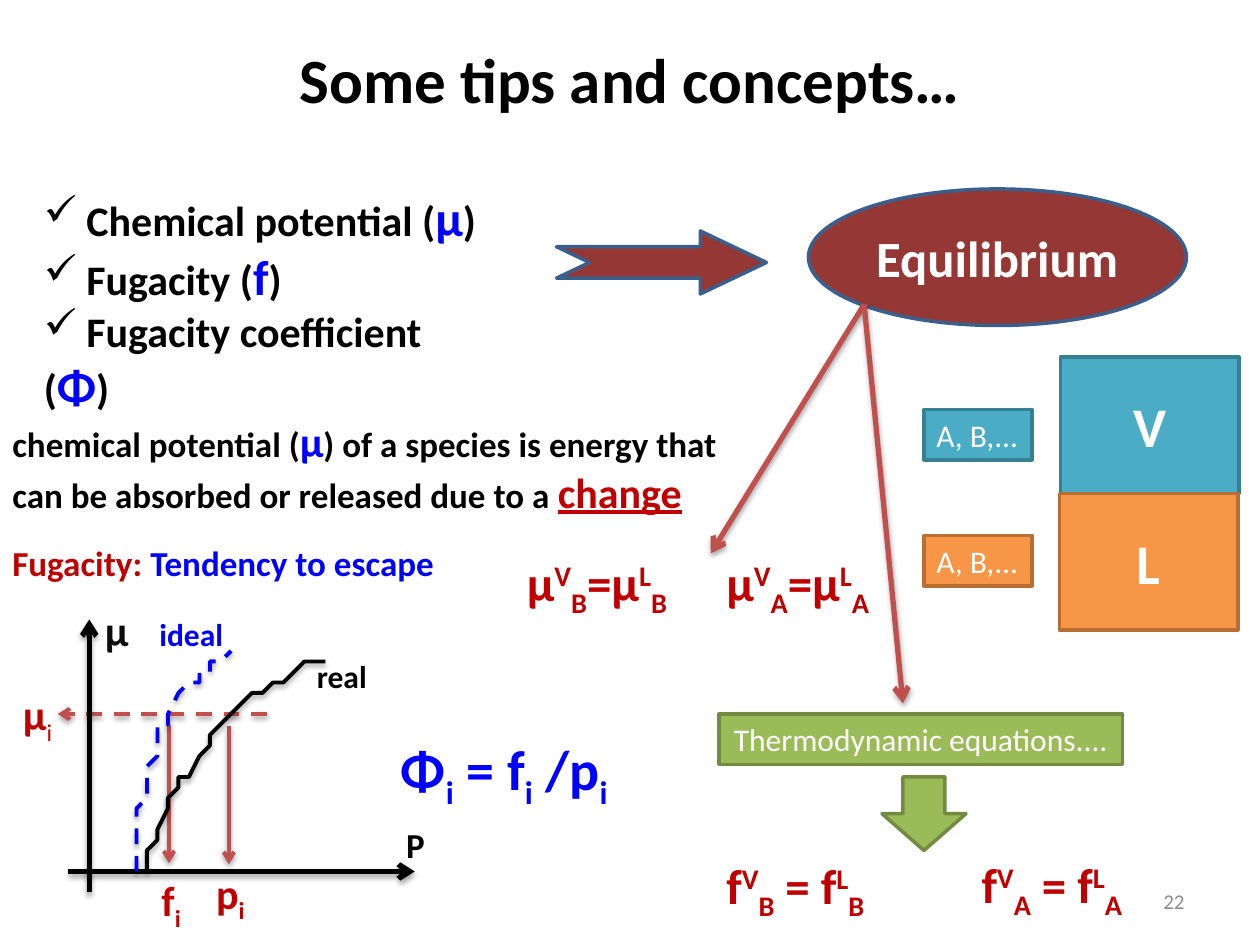
from lxml import etree
from pptx import Presentation
from pptx.dml.color import RGBColor
from pptx.enum.dml import MSO_LINE
from pptx.enum.shapes import MSO_CONNECTOR, MSO_SHAPE as SHAPE
from pptx.enum.text import MSO_ANCHOR as ANCHOR, PP_ALIGN as ALIGN
from pptx.oxml import parse_xml
from pptx.oxml.ns import nsdecls, qn
from pptx.util import Inches, Pt

COLORS = {
    "black": "000000", "ink": "0D0D0D", "white": "FFFFFF", "gray": "8C8C8C",
    "blue": "0000FF", "red": "C00000", "arrow": "C0504D",
    "maroon": "953735", "navy": "3A5F8C", "teal": "4BACC6", "teal edge": "377F92",
    "orange": "F79646", "orange edge": "B76F34", "green": "9BBB59", "green edge": "738A42",
}
RGB = {name: RGBColor.from_string(value) for name, value in COLORS.items()}
SUP, SUB = 30, -25

deck = Presentation()
deck.slide_width, deck.slide_height = Inches(10), Inches(7.5)
page = deck.slides.add_slide(deck.slide_layouts[6])
CELL = deck.slide_width // 120  # grid of 120 columns by 90 rows


def write(box, lines, align=ALIGN.LEFT, anchor=ANCHOR.TOP, wrap=True, bold=True, bullet=None):
    """Each line is a list of spans: text, size, color and optional baseline shift."""
    frame = box.text_frame
    frame.word_wrap, frame.vertical_anchor = wrap, anchor
    for number, spans in enumerate(lines):
        para = frame.add_paragraph() if number else frame.paragraphs[0]
        para.alignment = align
        if bullet:
            mark = etree.SubElement(para._p.get_or_add_pPr(), qn("a:buChar"))
            mark.set("char", bullet)
        for text, size, color, *shift in spans:
            span = para.add_run()
            span.text = text
            span.font.name, span.font.size, span.font.bold = "Calibri", Pt(size), bold
            span.font.color.rgb = RGB[color]
            if shift:
                span.font._element.set("baseline", str(shift[0] * 1000))


def draw_line(shape, color, width, dashed=False, arrow=True):
    shape.line.color.rgb, shape.line.width = RGB[color], Pt(width)
    if dashed:
        shape.line.dash_style = MSO_LINE.DASH
    if arrow:
        etree.SubElement(shape.line._get_or_add_ln(), qn("a:tailEnd")).set("type", "arrow")
    shape._element.spPr.append(parse_xml(
        f'<a:effectLst {nsdecls("a")}><a:outerShdw blurRad="{Pt(3.1)}" dist="{Pt(1.8)}" '
        'dir="5400000" rotWithShape="0"><a:srgbClr val="000000"><a:alpha val="35000"/>'
        '</a:srgbClr></a:outerShdw></a:effectLst>'))


# Filled shapes: kind, cells, color, edge, label, size, bold, align
blocks = [
    (SHAPE.OVAL, (77, 18, 36, 13), "maroon", "navy", "Equilibrium", 29, True, ALIGN.CENTER),
    (SHAPE.NOTCHED_RIGHT_ARROW, (53, 22, 20, 6), "maroon", "navy", "", 0, False, ALIGN.CENTER),
    (SHAPE.RECTANGLE, (101, 34, 17, 13), "teal", "teal edge", "V", 32, True, ALIGN.CENTER),
    (SHAPE.RECTANGLE, (100.9, 47, 17, 13), "orange", "orange edge", "L", 32, True, ALIGN.CENTER),
    (SHAPE.RECTANGLE, (88, 39, 10.3, 4.8), "teal", "teal edge", "A, B,...", 18, False, ALIGN.LEFT),
    (SHAPE.RECTANGLE, (88, 51, 10.3, 4.8), "orange", "orange edge", "A, B,...", 18, False, ALIGN.LEFT),
    (SHAPE.RECTANGLE, (68.5, 68, 38.4, 4.8), "green", "green edge",
     "Thermodynamic equations....", 18, False, ALIGN.CENTER),
    (SHAPE.DOWN_ARROW, (84, 74, 8, 7), "green", "green edge", "", 0, False, ALIGN.CENTER),
]
for kind, cells, color, edge, label, size, bold, align in blocks:
    block = page.shapes.add_shape(kind, *[int(n * CELL) for n in cells])
    block.shadow.inherit = False
    block.fill.solid()
    block.fill.fore_color.rgb = RGB[color]
    block.line.color.rgb, block.line.width = RGB[edge], Pt(2)
    if kind == SHAPE.NOTCHED_RIGHT_ARROW:
        block.adjustments[1] = 1.05
    if label:
        write(block, [[(label, size, "white")]], align, ANCHOR.MIDDLE, bold, bold)

# Arrows: start, end, color, width, dashed
arrows = [
    ((82.3, 29), (67.7, 52.7), "arrow", 3, False),
    ((82.3, 29), (86, 67), "arrow", 3, False),
    ((25.4, 68), (5.5, 68), "arrow", 2.25, True),
    ((21.8, 69.1), (21.8, 82.3), "arrow", 2.25, False),
    ((16.1, 69), (16.1, 82.2), "arrow", 2.25, False),
    ((8.5, 85), (8.5, 59), "black", 3, False),
    ((6.5, 83), (39.5, 83), "black", 3, False),
]
for start, end, color, width, dashed in arrows:
    ends = [int(n * CELL) for n in start + end]
    draw_line(page.shapes.add_connector(MSO_CONNECTOR.STRAIGHT, *ends), color, width, dashed)

# Real and ideal curves
real = [
    (13.6, 82.7), (14, 81.2), (14.6, 80), (15.2, 78.7), (15.8, 77.4), (16.3, 76),
    (16.9, 75.1), (17.4, 74.3), (18, 73.6), (18.7, 72.5), (19.1, 71.7), (19.9, 70.6),
    (20.5, 69.7), (21, 68.9), (21.5, 68.3), (22.1, 67.8), (23.9, 66.4), (24.6, 65.7),
    (25.6, 65.2), (26.6, 64.7), (27.6, 64.3), (28.4, 63.9), (29.2, 63.4), (30.7, 62.8),
]
ideal = [
    (12.7, 82.8), (12.8, 81.4), (12.9, 80), (13.1, 78.7), (13.3, 77.4), (13.5, 76),
    (13.7, 75.2), (14.1, 73.7), (14.4, 72.8), (14.6, 72), (14.9, 71.2), (15.1, 70.2),
    (15.4, 69.2), (15.7, 68.6), (16.1, 67.9), (16.4, 67.6), (17.2, 66.5), (17.4, 65.9),
    (18.2, 65), (18.7, 64.6), (19.1, 64.2), (19.7, 63.6), (20.2, 63.2), (20.8, 62.6),
    (21.7, 61.8),
]
for points, color, dashed in [(real, "black", False), (ideal, "blue", True)]:
    builder = page.shapes.build_freeform(*points[0], scale=CELL)
    builder.add_line_segments(points[1:], close=False)
    curve = builder.convert_to_shape()
    curve.fill.background()
    draw_line(curve, color, 2.25, dashed, arrow=False)

# Title
title = page.shapes.add_textbox(*[n * CELL for n in (6, 0, 108, 15)])
write(title, [[("Some tips and concepts…", 36, "black")]], ALIGN.CENTER, ANCHOR.MIDDLE)

# Checklist of concepts
concepts = [("Chemical potential", "μ"), ("Fugacity", "f"), ("Fugacity coefficient", "Φ")]
checklist = page.shapes.add_textbox(*[int(n * CELL) for n in (3, 17.3, 44.4, 18.1)])
write(checklist, [[(f" {name} (", 24, "black"), (symbol, 28, "blue"), (")", 24, "black")]
                  for name, symbol in concepts], bullet="✓")
checklist.width = int(44.4 * CELL)

# Definition of chemical potential
definition = page.shapes.add_textbox(*[int(n * CELL) for n in (0, 39, 71, 10.9)])
write(definition, [[
    ("chemical potential (", 20, "black"), ("μ", 24, "blue"),
    (") of a species is energy that can be absorbed or released due to a ", 20, "black"),
    ("change", 24, "red")]])
definition.text_frame.paragraphs[0].runs[-1].font.underline = True

# Equality of phases: cells, symbol, equals sign, species
equalities = [
    ((68, 52, 19, 6.8), "μ", "=", "A"), ((49, 52, 19, 6.8), "μ", "=", "B"),
    ((92.3, 80.8, 19, 6.8), "f", " = ", "A"), ((68, 80.9, 19, 6.8), "f", " = ", "B"),
]
for cells, symbol, equals, species in equalities:
    equality = page.shapes.add_textbox(*[int(n * CELL) for n in cells])
    write(equality, [[
        (symbol, 28, "red"), ("V", 28, "red", SUP), (species, 28, "red", SUB),
        (equals + symbol, 28, "red"), ("L", 28, "red", SUP), (species, 28, "red", SUB)]])

# Graph labels, fugacity note and coefficient formula
labels = [
    ((1, 65, 6, 6), [("μ", 24, "red"), ("i", 24, "red", SUB)]),
    ((14.2, 82.7, 5, 6), [("f", 24, "red"), ("i", 24, "red", SUB)]),
    ((19.4, 82, 6, 6), [("p", 24, "red"), ("i", 24, "red", SUB)]),
    ((8.8, 57, 4, 6), [("μ", 24, "ink")]),
    ((37.5, 77.8, 4, 5.3), [("P", 20, "black")]),
    ((29, 62, 7.2, 4.8), [("real", 18, "black")]),
    ((14, 58, 8.5, 4.8), [("ideal", 18, "blue")]),
    ((0, 51, 43.7, 5.3), [("Fugacity: ", 20, "red"), ("Tendency to escape", 20, "blue")]),
    ((37, 69.4, 22.7, 7.7), [
        ("Φ", 32, "blue"), ("i", 32, "blue", SUB), (" = f", 32, "blue"),
        ("i", 32, "blue", SUB), (" /p", 32, "blue"), ("i", 32, "blue", SUB)]),
]
for cells, spans in labels:
    label = page.shapes.add_textbox(*[int(n * CELL) for n in cells])
    write(label, [spans], wrap=False)
    if cells == (1, 65, 6, 6):
        label.text_frame.paragraphs[0].runs[-1].font.bold = False

# Slide number
number = page.shapes.add_textbox(*[int(n * CELL) for n in (86, 83.4, 28, 4.8)])
write(number, [[("22", 12, "gray")]], ALIGN.RIGHT, ANCHOR.MIDDLE, bold=False)

deck.save("out.pptx")
